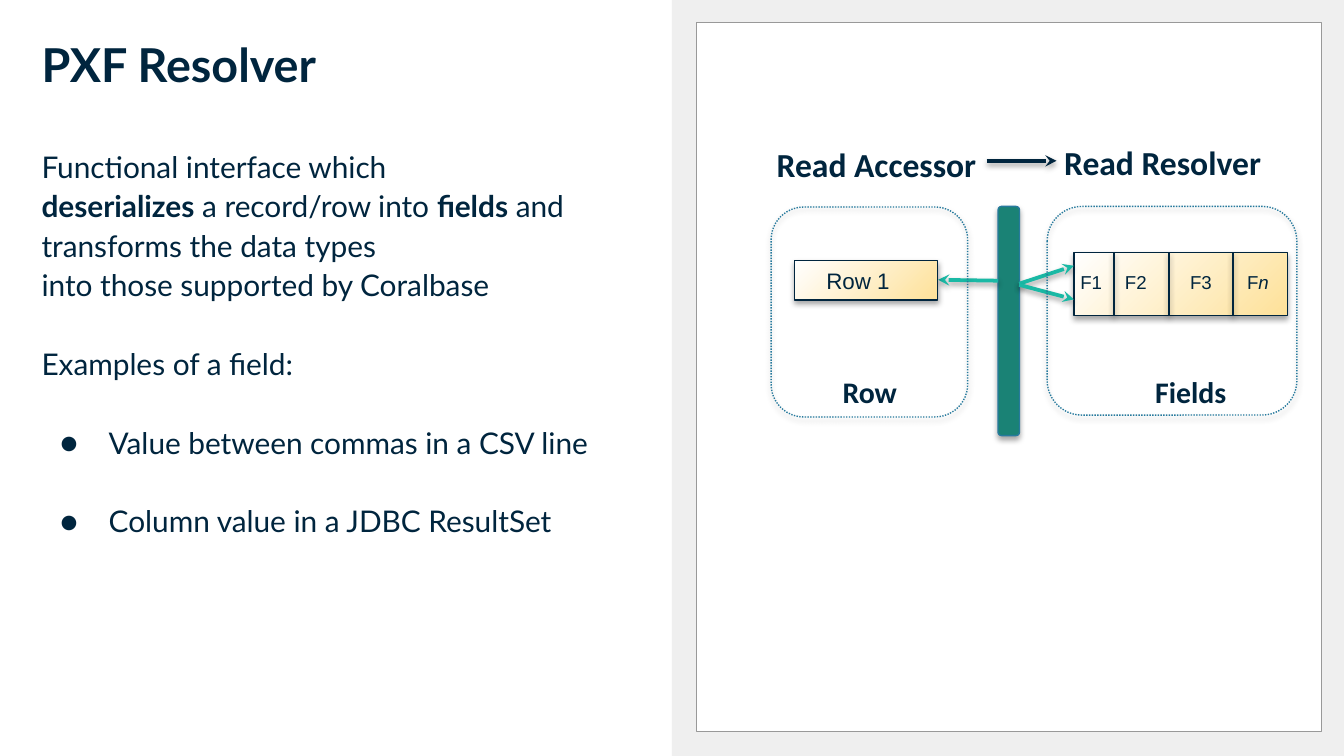
from pptx import Presentation
from pptx.dml.color import RGBColor
from pptx.enum.dml import MSO_LINE
from pptx.enum.shapes import MSO_CONNECTOR, MSO_SHAPE
from pptx.enum.text import PP_ALIGN
from pptx.oxml import parse_xml
from pptx.oxml.ns import nsdecls
from pptx.util import Pt

RECT, ROUNDED = MSO_SHAPE.RECTANGLE, MSO_SHAPE.ROUNDED_RECTANGLE
STRAIGHT = MSO_CONNECTOR.STRAIGHT
LEFT, CENTER = PP_ALIGN.LEFT, PP_ALIGN.CENTER
DOTTED = MSO_LINE.ROUND_DOT

NAVY = RGBColor(0x00, 0x25, 0x3E)
WHITE = RGBColor(0xFF, 0xFF, 0xFF)
PALE_GREY = RGBColor(0xEF, 0xEF, 0xEF)
GREY = RGBColor(0x99, 0x99, 0x99)
TEAL = RGBColor(0x1A, 0x82, 0x75)
BRIGHT_TEAL = RGBColor(0x1A, 0xB9, 0xA5)
BLUE = RGBColor(0x27, 0x7A, 0x9D)
YELLOW = RGBColor(0xFE, 0xE1, 0x99)

# Text runs are (text, style), where style is "", "b" or "i".
TITLE = [("PXF Resolver", "b")]
BODY_SIZE, BODY_SPACING = 16, 1.1
BODY_GAP = 21.1  # one line of body text
# Each paragraph: runs, gap before it, bulleted
BODY = [
    ([("Functional interface which", "")], 0, False),
    ([("deserializes", "b"), (" a record/row into ", ""),
      ("fields", "b"), (" and", "")], 0, False),
    ([("transforms the data types", "")], 0, False),
    ([("into those supported by Coralbase", "")], 0, False),
    ([("Examples of a field:", "")], BODY_GAP, False),
    ([("Value between commas in a CSV line", "")], BODY_GAP, True),
    ([("Column value in a JDBC ResultSet", "")], BODY_GAP, True),
]

# Boxes are (left, top, width, height).
STAGES = [
    {"heading": "Read Accessor", "heading_box": (409, 73.4, 131, 21.6),
     "outline": (413.1, 110.9, 105.3, 112.5),
     "caption": "Row", "caption_box": (430, 196.5, 72, 21.6)},
    {"heading": "Read Resolver", "heading_box": (563, 72.7, 131, 21.6),
     "outline": (561, 110.6, 133.8, 111.8),
     "caption": "Fields", "caption_box": (598.3, 196.5, 79.2, 21.6)},
]
BARRIER = (534.7, 110.6, 11.5, 122.8)
ROW_BAR = (425.8, 139.4, 76.6, 21.4)
ROW_LABEL = ("Row 1", (435.6, 139.4, 58.3, 21.4))

FIELD_BAR = (575.4, 135.2, 114.3, 33.9)
FIELD_DIVIDERS = [596.9, 626.4, 660.4]
FIELD_LABELS = [
    ([("F1", "")], 571.7),
    ([("F2", "")], 595.6),
    ([("F3", "")], 630.5),
    ([("F", ""), ("n", "i")], 661),
]

# Arrows are (start, end, colour).
ARROWS = [
    ((546, 152), (575.3, 142.4), BRIGHT_TEAL),
    ((546, 152.6), (575.3, 160.4), BRIGHT_TEAL),
    ((534.7, 150.4), (502.6, 149.9), BRIGHT_TEAL),
    ((528.6, 86.2), (566, 86.2), NAVY),
]


def add_shadow(part, opacity, distance):
    """Give a shape or connector a soft shadow straight below it."""
    part._element.spPr.append(parse_xml(
        f'<a:effectLst {nsdecls("a")}><a:outerShdw blurRad="{Pt(3.1)}" '
        f'dist="{Pt(distance)}" dir="5400000" rotWithShape="0">'
        f'<a:srgbClr val="000000"><a:alpha val="{opacity * 1000}"/></a:srgbClr>'
        '</a:outerShdw></a:effectLst>'))


def fill_from_corner(shape):
    """Fade from yellow at the bottom right to white at the top left."""
    shape._element.spPr.append(parse_xml(
        f'<a:gradFill {nsdecls("a")}><a:gsLst>'
        f'<a:gs pos="0"><a:srgbClr val="{YELLOW}"/></a:gs>'
        f'<a:gs pos="100000"><a:srgbClr val="{WHITE}"/></a:gs></a:gsLst>'
        '<a:path path="circle"><a:fillToRect l="100000" t="100000"/></a:path>'
        '<a:tileRect/></a:gradFill>'))


def add_box(slide, kind, box, fill=None, line=None, dash=None,
            gradient=False, shadow=False):
    shape = slide.shapes.add_shape(kind, *map(Pt, box))
    if gradient:
        fill_from_corner(shape)
    elif fill is None:
        shape.fill.background()
    else:
        shape.fill.solid()
        shape.fill.fore_color.rgb = fill
    if line is None:
        shape.line.fill.background()
    else:
        shape.line.color.rgb = line
        shape.line.width = Pt(0.75)
        if dash is not None:
            shape.line.dash_style = dash
    if shadow:
        add_shadow(shape, 35, 1.8)
    else:
        shape.shadow.inherit = False


def add_line(slide, start, end, color, width, arrow=False):
    line = slide.shapes.add_connector(STRAIGHT, *map(Pt, (*start, *end)))
    line.line.color.rgb = color
    line.line.width = Pt(width)
    if arrow:
        line.line._get_or_add_ln().append(
            parse_xml(f'<a:tailEnd {nsdecls("a")} type="stealth"/>'))
    add_shadow(line, 38, 1.6)


def add_runs(paragraph, runs, size, font):
    for text, style in runs:
        run = paragraph.add_run()
        run.text = text
        run.font.size, run.font.name = Pt(size), font
        run.font.color.rgb = NAVY
        run.font.bold, run.font.italic = style == "b", style == "i"


def add_frame(slide, box, inset=3.6):
    frame = slide.shapes.add_textbox(*map(Pt, box)).text_frame
    frame.word_wrap = True
    frame.margin_left = frame.margin_right = Pt(7.2)
    frame.margin_top = frame.margin_bottom = Pt(inset)
    return frame


def add_label(slide, box, runs, size, font, align=LEFT, inset=3.6):
    paragraph = add_frame(slide, box, inset).paragraphs[0]
    paragraph.alignment = align
    add_runs(paragraph, runs, size, font)


def add_bullet(paragraph):
    properties = paragraph._p.get_or_add_pPr()
    properties.set("marL", str(Pt(36)))
    properties.set("indent", str(Pt(-26)))
    for xml in (f'<a:buClr {nsdecls("a")}><a:srgbClr val="{NAVY}"/></a:buClr>',
                f'<a:buFont {nsdecls("a")} typeface="Lato"/>',
                f'<a:buChar {nsdecls("a")} char="●"/>'):
        properties.append(parse_xml(xml))


def add_body(slide):
    frame = add_frame(slide, (15.2, 70.6, 335, 296.6), 7.2)
    for index, (runs, gap, bulleted) in enumerate(BODY):
        paragraph = frame.add_paragraph() if index else frame.paragraphs[0]
        paragraph.line_spacing = BODY_SPACING
        paragraph.space_before = Pt(gap)
        if bulleted:
            add_bullet(paragraph)
        add_runs(paragraph, runs, BODY_SIZE, "Lato")


def add_diagram(slide):
    add_box(slide, RECT, FIELD_BAR, line=NAVY, gradient=True, shadow=True)
    _, top, _, height = FIELD_BAR
    for x in FIELD_DIVIDERS:
        add_line(slide, (x, top), (x, top + height), NAVY, 1)
    for runs, left in FIELD_LABELS:
        add_label(slide, (left, 141.8, 33, 26.6), runs, 10, "Arial")

    add_box(slide, ROUNDED, BARRIER, fill=TEAL, line=BLUE, shadow=True)
    for start, end, color in ARROWS:
        add_line(slide, start, end, color, 2, arrow=True)

    add_box(slide, RECT, ROW_BAR, line=NAVY, gradient=True, shadow=True)
    row_text, row_box = ROW_LABEL
    add_label(slide, row_box, [(row_text, "")], 12, "Arial")

    for stage in STAGES:
        add_box(slide, ROUNDED, stage["outline"], line=BLUE, dash=DOTTED, shadow=True)
        add_label(slide, stage["heading_box"], [(stage["heading"], "b")], 18, "Calibri")
        add_label(slide, stage["caption_box"], [(stage["caption"], "b")], 16,
                  "Calibri", CENTER)


def main():
    deck = Presentation()
    deck.slide_width, deck.slide_height = Pt(720), Pt(405)
    slide = deck.slides.add_slide(deck.slide_layouts[6])
    add_box(slide, RECT, (360, 0, 360, 405), fill=PALE_GREY)
    add_box(slide, RECT, (373, 12, 335, 380), fill=WHITE, line=GREY)
    add_label(slide, (15.2, 12.2, 337, 31), TITLE, 25, "Lato", inset=7.2)
    add_body(slide)
    add_diagram(slide)
    deck.save("out.pptx")


if __name__ == "__main__":
    main()
